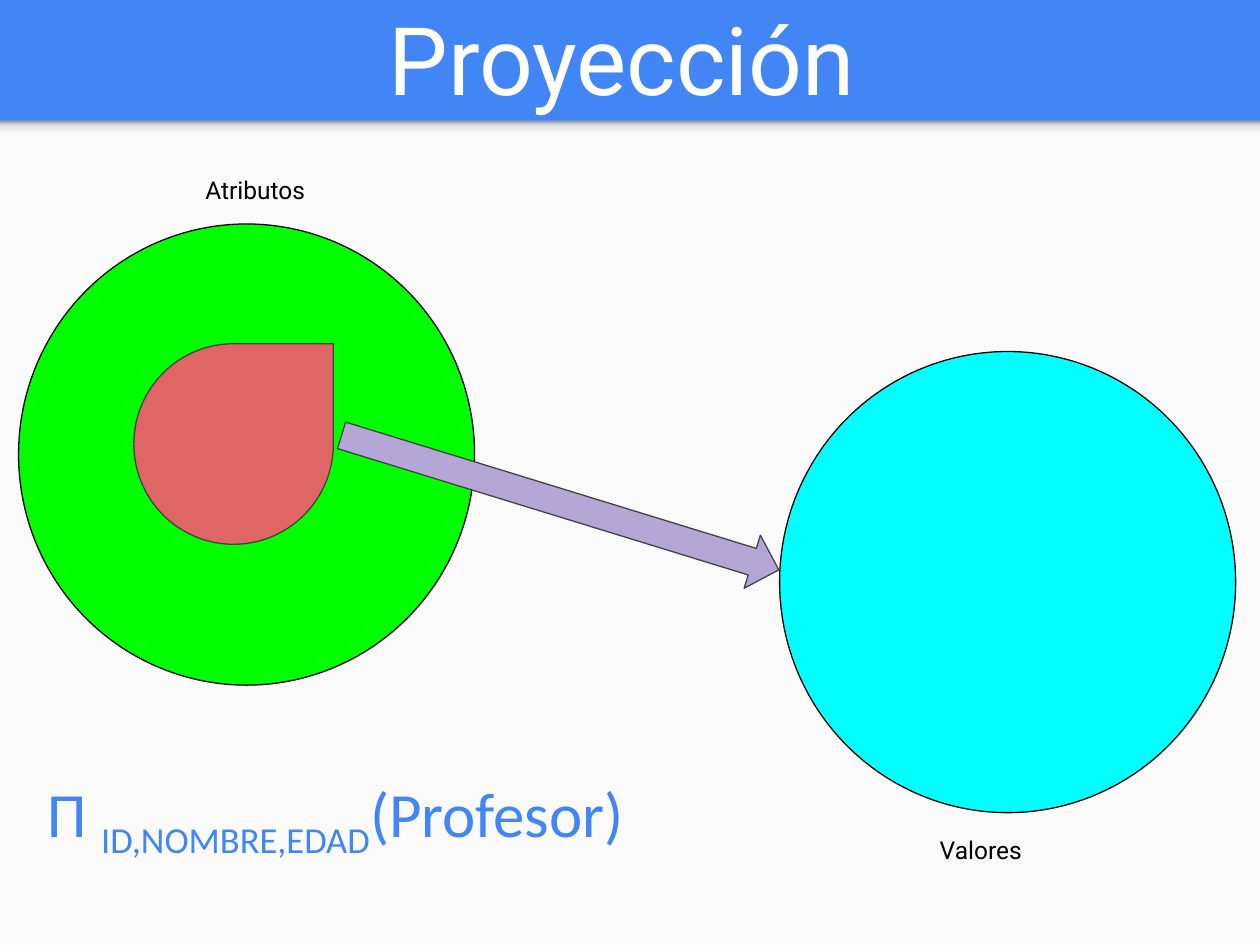
from copy import deepcopy

from pptx import Presentation
from pptx.dml.color import RGBColor
from pptx.enum.shapes import MSO_SHAPE
from pptx.enum.text import MSO_ANCHOR, PP_ALIGN
from pptx.oxml.ns import qn
from pptx.util import Pt

BLUE = RGBColor(0x42, 0x85, 0xF4)
PAPER = RGBColor(0xFA, 0xFA, 0xFA)
WHITE = RGBColor(0xFF, 0xFF, 0xFF)
BLACK = RGBColor(0, 0, 0)
GREEN = RGBColor(0, 0xFF, 0)
CYAN = RGBColor(0, 0xFF, 0xFF)
RED = RGBColor(0xE0, 0x66, 0x66)
LILAC = RGBColor(0xB4, 0xA7, 0xD6)
GREY = RGBColor(0x42, 0x42, 0x42)
SHADE_STOPS = [
    (0, RGBColor(0xF9, 0xF9, 0xF9)),
    (0.36, RGBColor(0xF9, 0xF9, 0xF9)),
    (0.8, RGBColor(0xDE, 0xDE, 0xDE)),
    (1, RGBColor(0x99, 0x99, 0x99)),
]
WIDTH, HEIGHT = 720, 540
HEADER_HEIGHT = 69.1
SET_SIZE = (260.6, 263.5)


def add_figure(slide, preset, box, fill=None, outline=None, rotation=0):
    figure = slide.shapes.add_shape(preset, *map(Pt, box))
    figure.shadow.inherit = False
    figure.rotation = rotation
    if fill is not None:
        figure.fill.solid()
        figure.fill.fore_color.rgb = fill
    if outline is None:
        figure.line.fill.background()
    else:
        figure.line.color.rgb = outline
        figure.line.width = Pt(0.75)
    return figure


def add_header_shade(slide):
    shade = add_figure(slide, MSO_SHAPE.RECTANGLE, (0, HEADER_HEIGHT, WIDTH, 11.5))
    shade.fill.gradient()
    shade.fill.gradient_angle = 90
    stop_list = shade._element.spPr.find(qn("a:gradFill")).find(qn("a:gsLst"))
    for _ in range(len(SHADE_STOPS) - len(stop_list)):
        stop_list.append(deepcopy(stop_list[0]))
    for stop, (position, color) in zip(shade.fill.gradient_stops, SHADE_STOPS):
        stop.position = position
        stop.color.rgb = color


def add_text(slide, box, pieces, font, color, inset=7.2,
             anchor=MSO_ANCHOR.TOP, align=PP_ALIGN.LEFT):
    """Add one line made of (text, baseline percent) pieces."""
    frame = slide.shapes.add_textbox(*map(Pt, box)).text_frame
    layout = {
        "word_wrap": True, "vertical_anchor": anchor,
        "margin_left": Pt(7.2), "margin_right": Pt(7.2),
        "margin_top": Pt(inset), "margin_bottom": Pt(inset),
    }
    for name, value in layout.items():
        setattr(frame, name, value)
    line = frame.paragraphs[0]
    line.alignment = align
    for text, baseline in pieces:
        run = line.add_run()
        run.text = text
        for name, value in font.items():
            setattr(run.font, name, value)
        run.font.color.rgb = color
        if baseline:
            run._r.get_or_add_rPr().set("baseline", str(baseline * 1000))


def main():
    deck = Presentation()
    deck.slide_width, deck.slide_height = Pt(WIDTH), Pt(HEIGHT)
    slide = deck.slides.add_slide(deck.slide_layouts[6])

    # Header and content area
    slide.background.fill.solid()
    slide.background.fill.fore_color.rgb = BLUE
    add_figure(slide, MSO_SHAPE.RECTANGLE,
               (0, HEADER_HEIGHT, WIDTH, HEIGHT - HEADER_HEIGHT), PAPER)
    add_header_shade(slide)
    add_text(slide, (7.9, 1.4, 694.8, 63.4), [("Proyección", 0)],
             {"name": "Roboto", "size": Pt(54)}, WHITE, 3.6,
             MSO_ANCHOR.MIDDLE, PP_ALIGN.CENTER)

    # Attribute and value sets
    add_figure(slide, MSO_SHAPE.OVAL, (10.6, 128, *SET_SIZE), GREEN, BLACK)
    add_figure(slide, MSO_SHAPE.OVAL, (445.5, 200.9, *SET_SIZE), CYAN, BLACK)
    label_font = {"name": "Roboto", "size": Pt(14)}
    add_text(slide, (110.2, 92.9, 75.6, 41.8), [("Atributos", 0)], label_font, BLACK)
    add_text(slide, (529.9, 470.2, 62.6, 41.8), [("Valores", 0)], label_font, BLACK)

    # Projected subset and its mapping
    add_figure(slide, MSO_SHAPE.RIGHT_ARROW, (189.4, 271.4, 261.4, 31.7),
               LILAC, GREY, 17.1)
    add_figure(slide, MSO_SHAPE.TEAR, (76.5, 196.4, 114, 114.6), RED, GREY)

    # Projection formula
    add_text(slide, (20.2, 435.6, 449.3, 63.4),
             [("Π ", 0), ("ID,NOMBRE,EDAD", -25), ("(Profesor)", 0)],
             {"name": "Calibri", "size": Pt(36)}, BLUE)

    deck.save("out.pptx")


if __name__ == "__main__":
    main()
